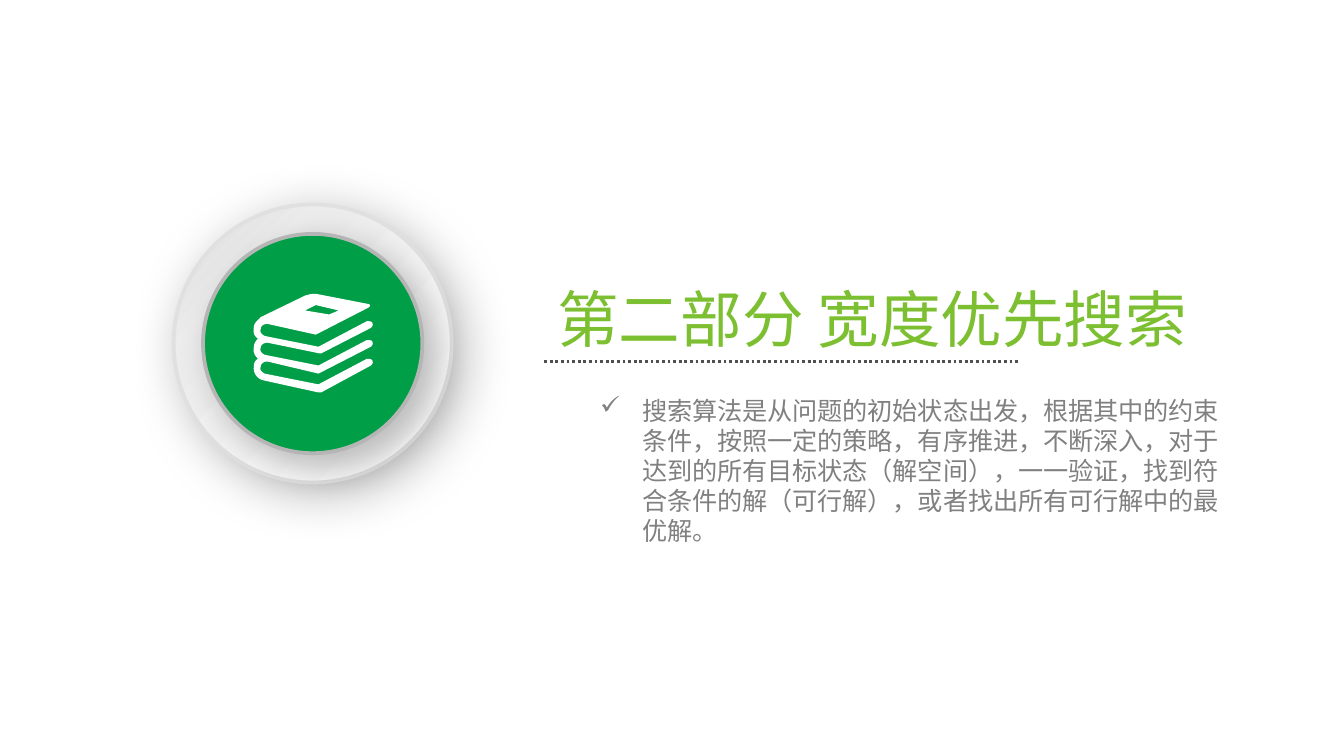
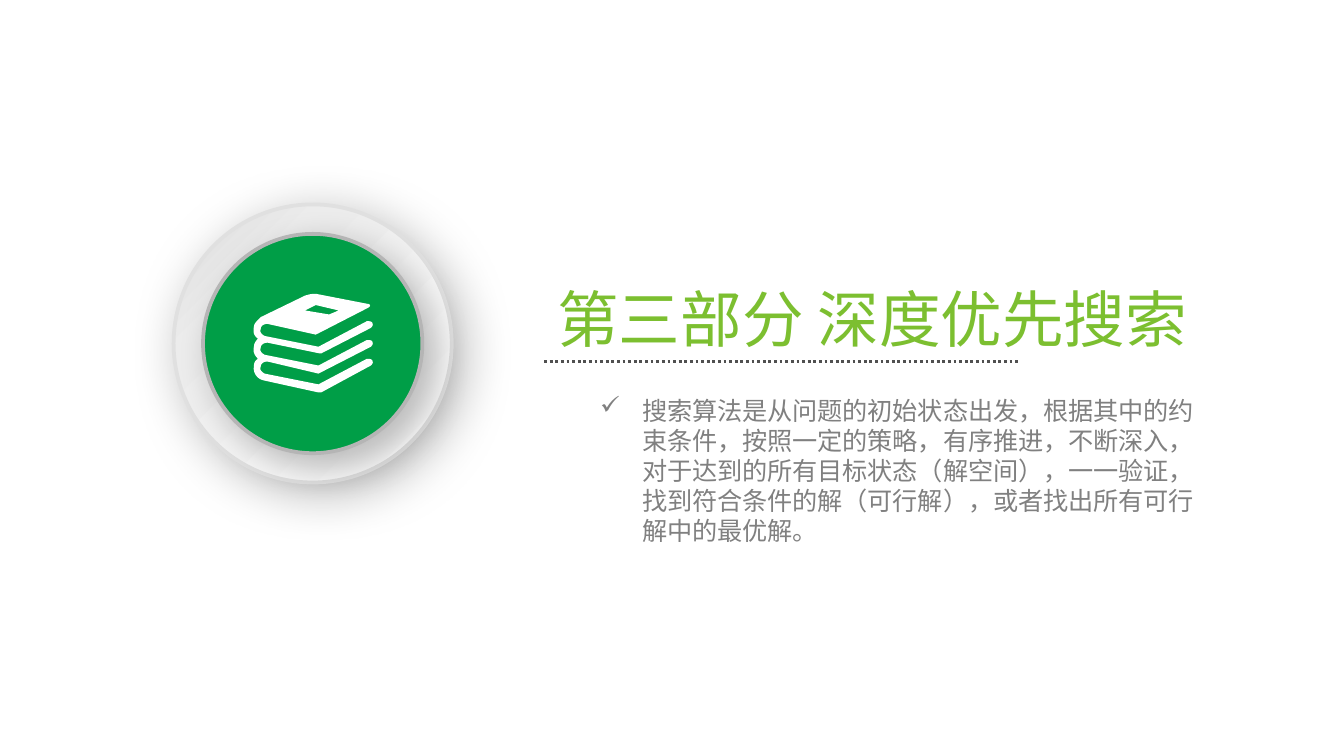
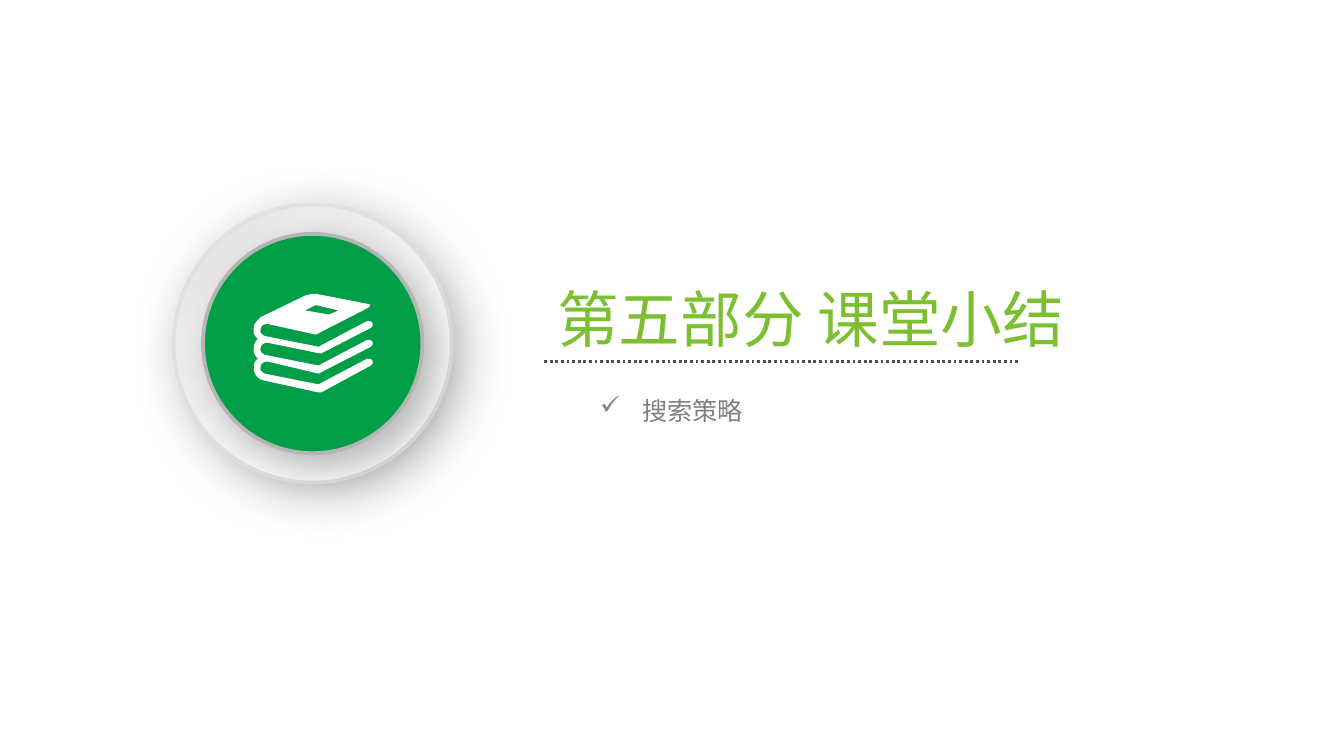
"""Build three section divider slides with a book badge, a heading and a check list."""
import pptx
import pptx.dml.color
import pptx.enum.dml
import pptx.enum.shapes
import pptx.enum.text
import pptx.oxml
import pptx.oxml.ns
import pptx.util
from lxml import etree

Pt = pptx.util.Pt
FONT = "Noto Sans CJK SC"
COLORS = {
    "background": "FFFFFF",
    "heading": "7CBF30",
    "body": "808080",
    "rule": "505050",
    "ring_line": "E0E0E0",
    "disc": "009E47",
    "disc_line": "B5B5B5",
    "book": "FFFFFF",
    "shadow": "000000",
}
RING_STOPS = [(0, "FFFFFF"), (73, "ECECEC"), (100, "D9D9D9")]
SEARCH_SUMMARY = (
    "搜索算法是从问题的初始状态出发，根据其中的约束条件，按照一定的策略，有序推进，不断深入，"
    "对于达到的所有目标状态（解空间），一一验证，找到符合条件的解（可行解），"
    "或者找出所有可行解中的最优解。"
)
SECTIONS = [
    ("第二部分 宽度优先搜索", 361, SEARCH_SUMMARY, 351.5, 89),
    ("第三部分 深度优先搜索", 361, SEARCH_SUMMARY, 338, 89),
    ("第五部分 课堂小结", 295, "搜索策略", 309.5, 24),
]
BOOK_UNIT = 0.72
CURVE_STEPS = 6


def rgb(name):
    return pptx.dml.color.RGBColor.from_string(COLORS[name])


def drawing_element(tag, content="", **attributes):
    fields = "".join(f' {key}="{value}"' for key, value in attributes.items())
    namespace = pptx.oxml.ns.nsdecls("a")
    return pptx.oxml.parse_xml(f"<a:{tag} {namespace}{fields}>{content}</a:{tag}>")


def write_text(paragraph, text, size, color):
    run = paragraph.add_run()
    run.text = text
    run.font.size = Pt(size)
    run.font.name = FONT
    run.font.color.rgb = rgb(color)
    run.font._element.append(drawing_element("ea", typeface=FONT))


def flatten(outline):
    """Turn points and (control, control, end) curves into plain points."""
    points = []
    for segment in outline:
        if len(segment) == 2:
            points.append(segment)
            continue
        corners = [points[-1], segment[:2], segment[2:4], segment[4:]]
        for step in range(1, CURVE_STEPS + 1):
            t = step / CURVE_STEPS
            weights = ((1 - t) ** 3, 3 * t * (1 - t) ** 2, 3 * t * t * (1 - t), t ** 3)
            points.append(tuple(
                sum(weight * corner[axis] for weight, corner in zip(weights, corners))
                for axis in (0, 1)
            ))
    return [(Pt(x * BOOK_UNIT), Pt(y * BOOK_UNIT)) for x, y in points]


def page_edge(shift):
    edge = [
        (276, 258), (277, 257, 278, 256, 277, 254), (276, 253, 275, 253, 273, 253),
        (237, 272), (197, 264), (195, 263, 193, 261, 194, 259),
        (194, 256, 197, 255, 199, 255),
    ]
    return [
        tuple(value + shift * (index % 2) for index, value in enumerate(segment))
        for segment in edge
    ]


BOOK_OUTLINE = [
    (237, 278), (239, 277), *page_edge(0),
    (238, 263), (239, 263), *page_edge(-14),
    (235, 249), (237, 248), (274, 229), (276, 228, 276, 226, 273, 226),
    (237, 219), (234, 218, 230, 219, 227, 220), (194, 236), (193, 237),
    (191, 239, 189, 241, 189, 243), (188, 247, 189, 250, 192, 252),
    (190, 254, 189, 256, 189, 258), (188, 261, 189, 264, 192, 267),
    (190, 268, 189, 270, 189, 272), (188, 277, 191, 282, 196, 283),
    (237, 292), (239, 292), *page_edge(14),
]
BOOK_LABEL = [(235, 227), (252, 231), (245, 234), (227, 231)]


class SectionDeck:
    """Hold the shared style and the current slide."""

    def __init__(self):
        self.presentation = pptx.Presentation()
        self.presentation.slide_width = Pt(720)
        self.presentation.slide_height = Pt(405)
        self.slide = None

    def add_slide(self):
        self.slide = self.presentation.slides.add_slide(self.presentation.slide_layouts[6])
        fill = self.slide.background.fill
        fill.solid()
        fill.fore_color.rgb = rgb("background")

    def add_rule(self, left, top, right):
        rule = self.slide.shapes.add_connector(
            pptx.enum.shapes.MSO_CONNECTOR.STRAIGHT, Pt(left), Pt(top), Pt(right), Pt(top)
        )
        rule.line.color.rgb = rgb("rule")
        rule.line.width = Pt(1.5)
        rule.line.dash_style = pptx.enum.dml.MSO_LINE.ROUND_DOT
        rule._element.spPr.append(drawing_element("effectLst"))

    def add_text(self, text, left, top, width, height, size, color, wrap=True, bullet=None):
        box = self.slide.shapes.add_textbox(Pt(left), Pt(top), Pt(width), Pt(height))
        frame = box.text_frame
        frame.word_wrap = wrap
        frame.auto_size = pptx.enum.text.MSO_AUTO_SIZE.SHAPE_TO_FIT_TEXT
        paragraph = frame.paragraphs[0]
        if bullet:
            properties = paragraph._p.get_or_add_pPr()
            properties.set("marL", str(Pt(22.5)))
            properties.set("indent", str(-Pt(22.5)))
            properties.append(drawing_element("buChar", char=bullet))
        write_text(paragraph, text, size=size, color=color)

    def add_circle(self, center, diameter, line, shadow, fill=None, stops=None):
        left, top = (Pt(middle - diameter / 2) for middle in center)
        circle = self.slide.shapes.add_shape(
            pptx.enum.shapes.MSO_SHAPE.OVAL, left, top, Pt(diameter), Pt(diameter)
        )
        circle.rotation = 180
        circle.line.color.rgb = rgb(line)
        circle.line.width = Pt(2)
        properties = circle._element.spPr
        if stops:
            gradient = "".join(
                f'<a:gs pos="{position * 1000}"><a:srgbClr val="{color}"/></a:gs>'
                for position, color in stops
            )
            properties.insert(2, drawing_element(
                "gradFill", f'<a:gsLst>{gradient}</a:gsLst><a:lin ang="2700000" scaled="1"/>',
                rotWithShape=1,
            ))
        else:
            circle.fill.solid()
            circle.fill.fore_color.rgb = rgb(fill)
        opacity, blur, distance = shadow
        properties.append(drawing_element(
            "effectLst",
            f'<a:outerShdw blurRad="{Pt(blur)}" dist="{Pt(distance)}" dir="2700000" '
            f'algn="tl" rotWithShape="0"><a:srgbClr val="{COLORS["shadow"]}">'
            f'<a:alpha val="{opacity * 1000}"/></a:srgbClr></a:outerShdw>',
        ))
        return circle

    def add_books(self):
        start, *outline = flatten(BOOK_OUTLINE)
        label_start, *label = flatten(BOOK_LABEL)
        builder = self.slide.shapes.build_freeform(*start)
        builder.add_line_segments(outline)
        builder.move_to(*label_start)
        builder.add_line_segments(label)
        books = builder.convert_to_shape()
        books.shadow.inherit = False
        books.fill.solid()
        books.fill.fore_color.rgb = rgb("book")
        books.line.fill.background()

    def add_badge(self):
        center = (167.5, 184)
        ring = self.add_circle(center, 149, "ring_line", (28, 28, 7), stops=RING_STOPS)
        disc = self.add_circle(center, 117.5, "disc_line", (25, 20, 9), fill="disc")
        self.slide.shapes.add_group_shape([ring, disc])
        self.add_books()

    def add_section(self, heading, heading_width, body, body_width, body_height):
        self.add_slide()
        self.add_rule(291.5, 193.75, 546.5)
        self.add_text(heading, 291.5, 147, heading_width, 47, 33, "heading", wrap=False)
        self.add_text(body, 314.5, 208, body_width, body_height, 13.5, "body", bullet="✓")
        self.add_badge()


def main():
    deck = SectionDeck()
    for section in SECTIONS:
        deck.add_section(*section)
    deck.presentation.save("out.pptx")


if __name__ == "__main__":
    main()
